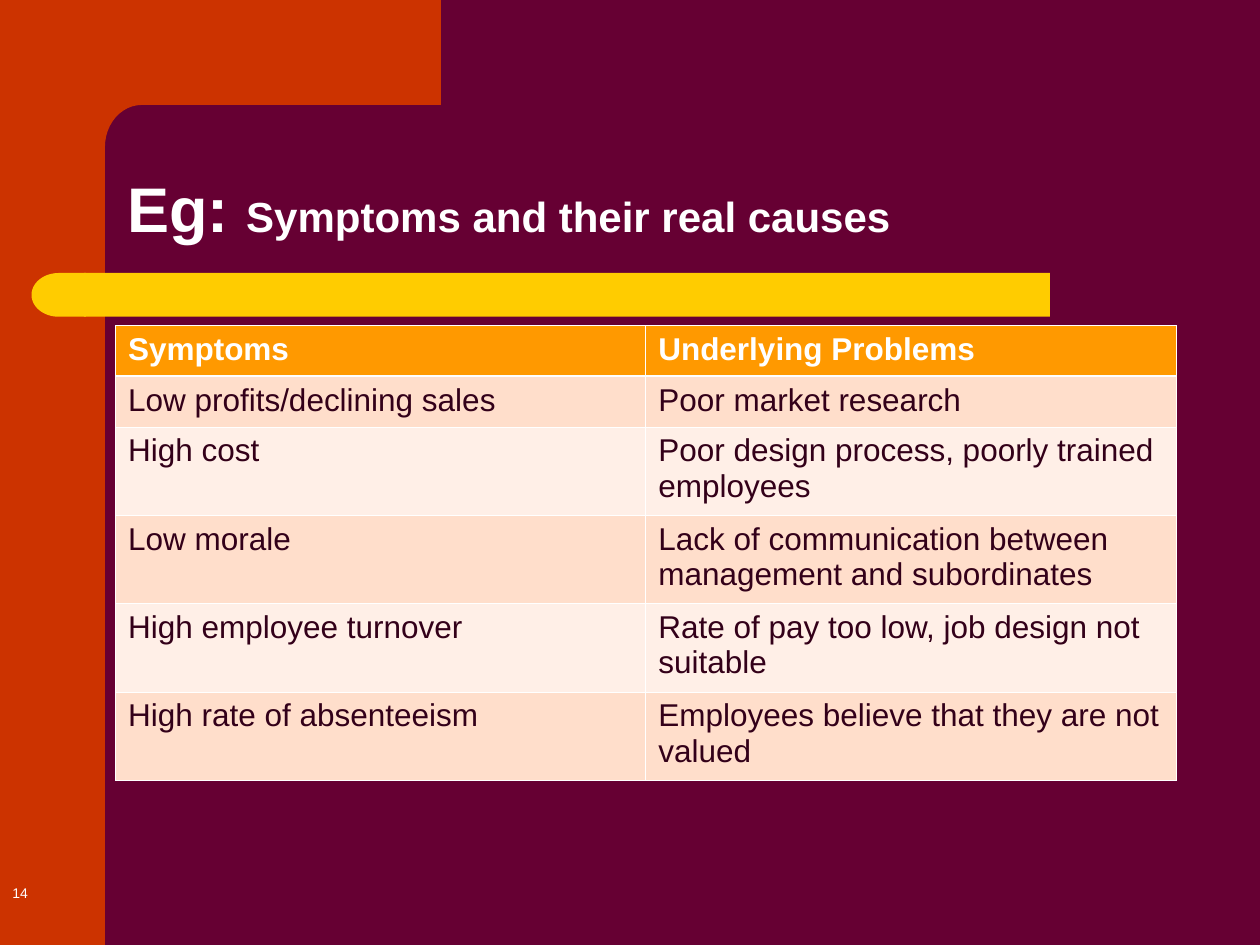
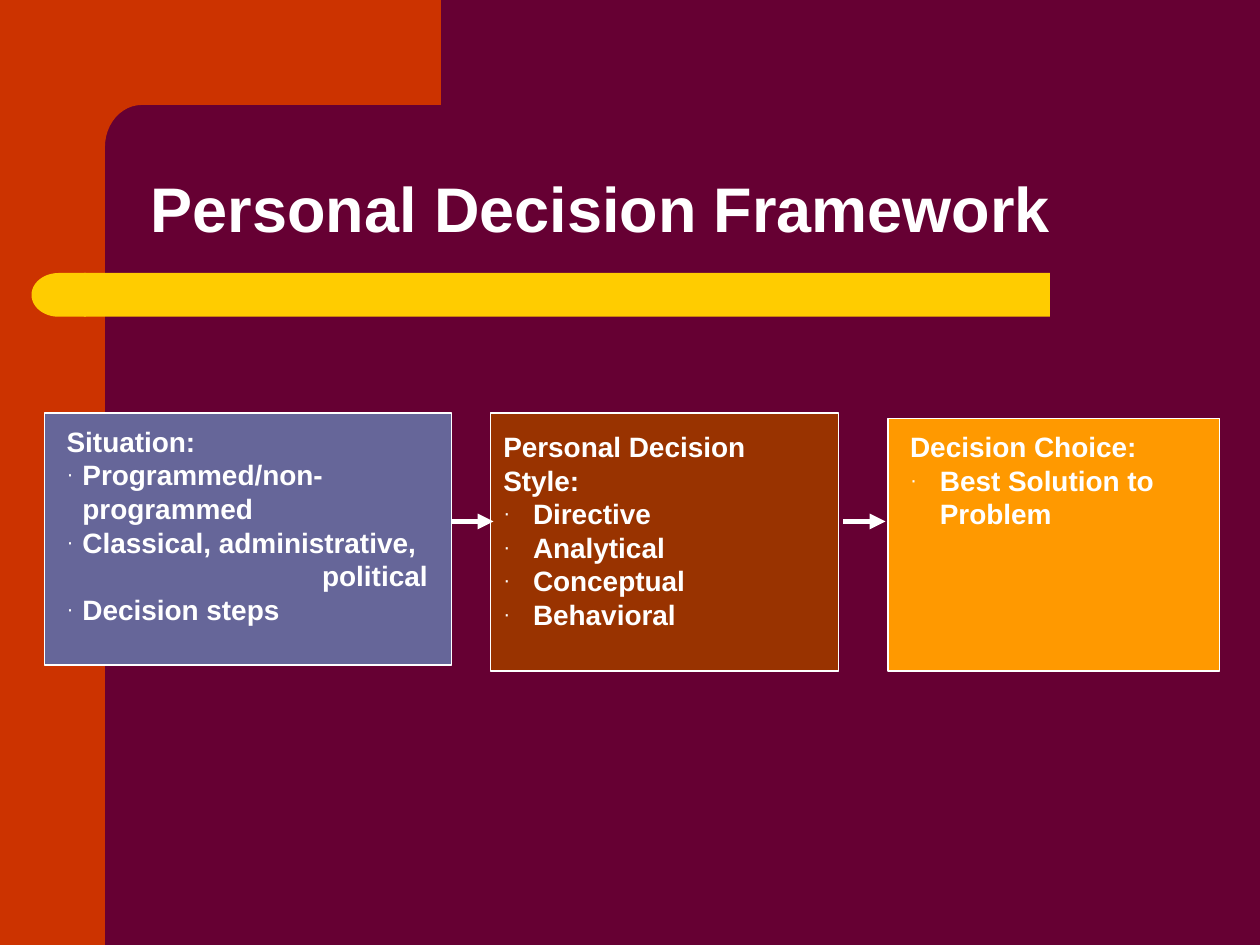
import math

from lxml import etree
from pptx import Presentation
from pptx.dml import color
from pptx.enum import shapes, text
from pptx.oxml import ns
from pptx.util import Pt

WHITE, PLUM, RUST, GOLD = "FFFFFF", "660033", "CC3300", "FFCC00"
ORANGE, DARK, PEACH, CREAM = "FF9900", "330019", "FFDECB", "FFEFE7"
SLATE, BROWN = "666699", "993300"
KIND = shapes.MSO_SHAPE


def rgb(code):
    return color.RGBColor.from_string(code)


def sub(parent, tag, **attrs):
    return etree.SubElement(parent, ns.qn("a:" + tag), attrs)


def emu(points):
    return str(int(Pt(points)))


class Deck:
    """Holds the house style and the slide being filled."""

    font = "Arial"

    def __init__(self):
        self.prs = Presentation()
        self.prs.slide_width, self.prs.slide_height = Pt(720), Pt(540)
        self.base = self.prs.slide_layouts[5]
        self.slide = None

    def start(self):
        self.slide = self.prs.slides.add_slide(self.base)

    def frame(self):
        """Draw the shared bands and move them to the layout."""
        back = self.base.background.fill
        back.solid()
        back.fore_color.rgb = rgb(PLUM)
        parts = [
            self.shape(KIND.RECTANGLE, (0, 0, 60, 540), RUST),
            self.corner(),
            self.shape(KIND.RECTANGLE, (48, 156, 552, 25), GOLD),
            self.shape(KIND.FLOWCHART_DELAY, (18, 156, 31, 25), GOLD),
        ]
        parts[-1].rotation = 180
        tree = self.base.shapes._spTree
        for i, part in enumerate(parts):
            part._element.xpath(".//p:cNvPr")[0].set("id", str(100 + i))
            tree.insert(2 + i, part._element)

    def corner(self):
        """Top band whose inner corner is a quarter ellipse."""
        steps = [math.pi / 2 * i / 12 for i in range(13)]
        curve = [(81 - 21 * math.sin(a), 84 - 24 * math.cos(a)) for a in steps]
        points = [(252, 0), (252, 60), *curve, (60, 92), (36, 92)]
        pen = self.slide.shapes.build_freeform(Pt(36), 0)
        pen.add_line_segments([(Pt(x), Pt(y)) for x, y in points])
        return self.paint(pen.convert_to_shape(), RUST)

    def paint(self, item, fill, line=None):
        item.shadow.inherit = False
        item.fill.solid()
        item.fill.fore_color.rgb = rgb(fill)
        if line:
            item.line.color.rgb = rgb(line)
            item.line.width = Pt(0.75)
        else:
            item.line.fill.background()
        return item

    def shape(self, kind, box, fill, line=None):
        item = self.slide.shapes.add_shape(kind, *map(Pt, box))
        return self.paint(item, fill, line)

    def style(self, para, size, bold=True, tint=WHITE):
        for run in para.runs:
            font = run.font
            font.name, font.size, font.bold = self.font, Pt(size), bold
            font.color.rgb = rgb(tint)

    def title(self, box, *pieces):
        """Fill the title with (words, size) pieces."""
        item = self.slide.shapes.title
        item.left, item.top, item.width, item.height = map(Pt, box)
        body = item.text_frame
        body.auto_size = text.MSO_AUTO_SIZE.NONE
        body.vertical_anchor = text.MSO_ANCHOR.BOTTOM
        para = body.paragraphs[0]
        para.alignment = text.PP_ALIGN.LEFT
        para.line_spacing = 0.9
        for words, _ in pieces:
            para.add_run().text = words
        self.style(para, 36)
        for run, (_, size) in zip(para.runs, pieces):
            run.font.size = Pt(size)

    def note(self, box, words, size, bold=True):
        body = self.slide.shapes.add_textbox(*map(Pt, box)).text_frame
        body.word_wrap = True
        body.text = words
        self.style(body.paragraphs[0], size, bold)
        return body

    def list(self, box, head, items, hang, stop=None):
        """Heading with bulleted items; stop sets a tab stop."""
        body = self.note(box, head, 16)
        for words in items:
            para = body.add_paragraph()
            para.text = words
            props = para._p.get_or_add_pPr()
            props.set("marL", emu(hang))
            props.set("indent", emu(-hang))
            sub(sub(props, "buClr"), "srgbClr", val=WHITE)
            sub(props, "buSzPct", val="75000")
            sub(props, "buFont", typeface=self.font)
            sub(props, "buChar", char="·")
            if stop:
                sub(sub(props, "tabLst"), "tab", pos=emu(stop), algn="l")
            self.style(para, 16)

    def arrow(self, x, y, width):
        line = self.slide.shapes.add_connector(
            shapes.MSO_CONNECTOR.STRAIGHT, Pt(x), Pt(y), Pt(x + width), Pt(y))
        line.line.color.rgb = rgb(WHITE)
        line.line.width = Pt(3)
        sub(line.line._get_or_add_ln(), "tailEnd", type="triangle")
        sub(line._element.spPr, "effectLst")

    def edge(self, cell, row):
        """White cell borders, heavier below the header."""
        props = cell._tc.get_or_add_tcPr()
        heavy = {"T": row == 1, "B": row == 0}
        for side in "LRTB":
            width = 1.47 if heavy.get(side) else 0.45
            line = sub(props, "ln" + side, w=emu(width))
            sub(sub(line, "solidFill"), "srgbClr", val=WHITE)

    def table(self, box, rows, heights):
        grid = self.slide.shapes.add_table(
            len(rows), len(rows[0]), *map(Pt, box)).table
        for r, row in enumerate(rows):
            grid.rows[r].height = Pt(heights[r])
            fill = ORANGE if r == 0 else PEACH if r % 2 else CREAM
            for c, words in enumerate(row):
                cell = grid.cell(r, c)
                cell.text = words
                self.edge(cell, r)
                cell.fill.solid()
                cell.fill.fore_color.rgb = rgb(fill)
                self.style(cell.text_frame.paragraphs[0], 18, r == 0,
                           DARK if r else WHITE)


def causes(deck):
    deck.title((65.5, 65.5, 613, 78.5),
               ("Eg: ", 36), ("Symptoms and their real causes", 24))
    rows = [
        ("Symptoms", "Underlying Problems"),
        ("Low profits/declining sales", "Poor market research"),
        ("High cost", "Poor design process, poorly trained employees"),
        ("Low morale",
         "Lack of communication between management and subordinates"),
        ("High employee turnover",
         "Rate of pay too low, job design not suitable"),
        ("High rate of absenteeism",
         "Employees believe that they are not valued"),
    ]
    deck.table((66, 186, 606, 260), rows, [29] * 2 + [50.5] * 4)
    deck.note((0, 502, 46, 38), "14", 8, False)


def choice(deck):
    deck.title((79, 66, 550, 78.5), ("Personal Decision Framework", 36))
    for box, fill in [((25.5, 236, 232.5, 144), SLATE),
                      ((280.5, 236, 198.5, 147.5), BROWN),
                      ((507.5, 239, 189.5, 144.5), ORANGE)]:
        deck.shape(KIND.RECTANGLE, box, fill, WHITE)
    deck.list((31, 239, 229, 122), "Situation:",
              ["Programmed/non-programmed",
               "Classical, administrative,\v\tpolitical",
               "Decision steps"], 9, 146)
    deck.list((280.5, 242, 198, 122), "Personal Decision Style:",
              ["Directive", "Analytical", "Conceptual", "Behavioral"], 17)
    deck.list((513, 242, 180, 65), "Decision Choice:",
              ["Best Solution to Problem"], 17)
    for x in (258, 482):
        deck.arrow(x, 298, 24)


def main():
    deck = Deck()
    deck.start()
    deck.frame()
    causes(deck)
    deck.start()
    choice(deck)
    deck.prs.save("out.pptx")


if __name__ == "__main__":
    main()
